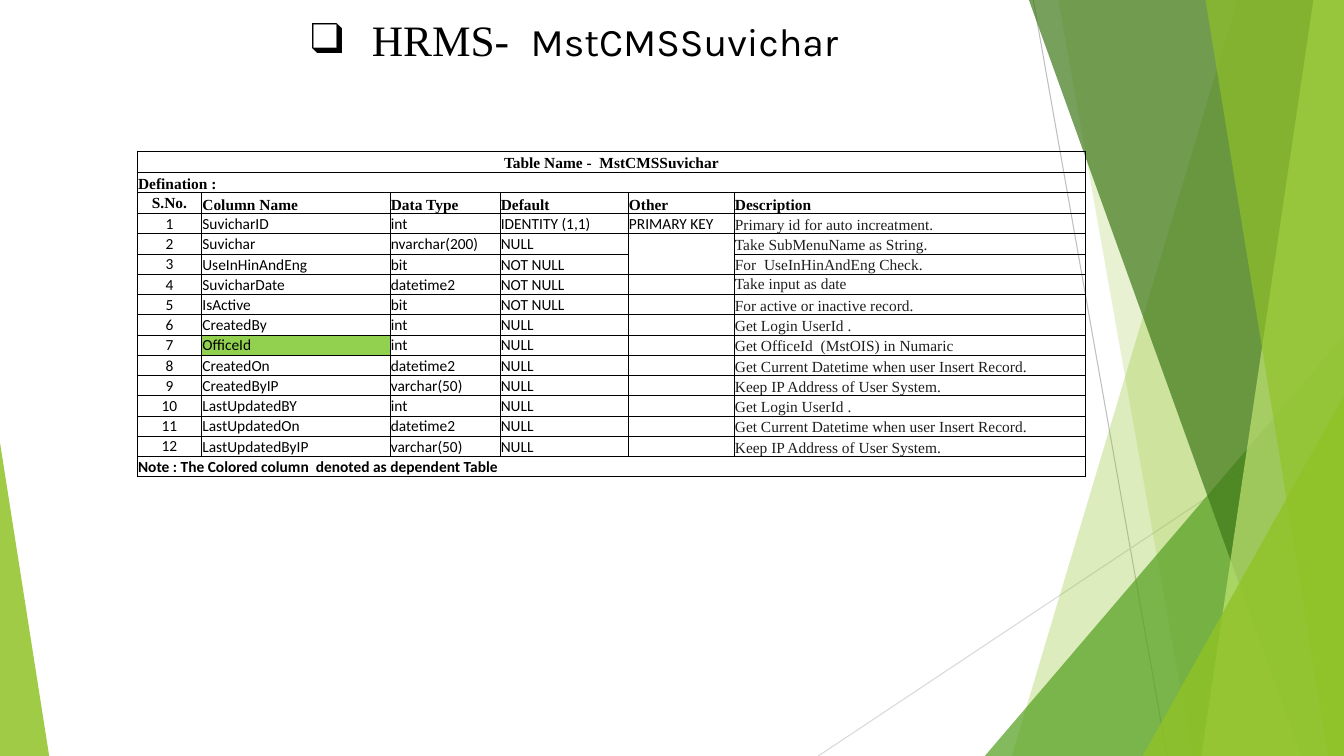
from dataclasses import dataclass

from lxml import etree
from pptx import Presentation
from pptx.dml.color import RGBColor
from pptx.enum.shapes import MSO_CONNECTOR, MSO_SHAPE
from pptx.enum.text import MSO_ANCHOR, MSO_AUTO_SIZE, PP_ALIGN
from pptx.oxml.ns import qn
from pptx.util import Cm, Pt

LINE = MSO_CONNECTOR.STRAIGHT
WEDGE = MSO_SHAPE.ISOSCELES_TRIANGLE
TOP, MIDDLE, BOTTOM = MSO_ANCHOR.TOP, MSO_ANCHOR.MIDDLE, MSO_ANCHOR.BOTTOM
LEFT, CENTER = PP_ALIGN.LEFT, PP_ALIGN.CENTER
WIDE, HIGH = 33.87, 19.05


@dataclass(frozen=True)
class Theme:
    serif: str = "Times New Roman"
    sans: str = "Calibri"
    round: str = "Karla"
    head: int = 31
    name: int = 28
    cell: int = 11
    ink: str = "000000"
    soft: str = "1F1F1F"
    mark: str = "92D050"
    lime: str = "90C226"
    leaf: str = "54A021"
    moss: str = "3F7819"
    pale: str = "C0E474"
    gray: str = "BFBFBF"
    mist: str = "D9D9D9"


T = Theme()

# Background bands: x at the top, x at the bottom, colour, opacity
BACK = [(31.19, 25.5, T.lime, 30), (26.67, 30.05, T.lime, 20)]
FRONT = [(25.93, 32.79, T.moss, 70), (33.1, 30.28, T.pale, 70),
         (30.38, 33.48, T.lime, 65)]

# Table content
COLS = [1.62, 4.75, 2.77, 3.23, 2.67, 8.86]
HEADS = ["S.No.", "Column Name", "Data Type", "Default", "Other",
         "Description"]
STAMP = "Get Current Datetime when user Insert Record."
ADDRESS = "Keep IP Address of User System."
LOGIN = "Get Login UserId ."
FIELDS = [
    ("SuvicharID", "int", "IDENTITY (1,1)", "PRIMARY KEY",
     "Primary id for auto increatment."),
    ("Suvichar", "nvarchar(200)", "NULL", "", "Take SubMenuName as String."),
    ("UseInHinAndEng", "bit", "NOT NULL", "", "For  UseInHinAndEng Check."),
    ("SuvicharDate", "datetime2", "NOT NULL", "", "Take input as date"),
    ("IsActive", "bit", "NOT NULL", "", "For active or inactive record."),
    ("CreatedBy", "int", "NULL", "", LOGIN),
    ("OfficeId", "int", "NULL", "", "Get OfficeId  (MstOIS) in Numaric"),
    ("CreatedOn", "datetime2", "NULL", "", STAMP),
    ("CreatedByIP", "varchar(50)", "NULL", "", ADDRESS),
    ("LastUpdatedBY", "int", "NULL", "", LOGIN),
    ("LastUpdatedOn", "datetime2", "NULL", "", STAMP),
    ("LastUpdatedByIP", "varchar(50)", "NULL", "", ADDRESS),
]


def write(par, text, size=T.cell, font=T.sans, color=T.ink, bold=False,
          align=LEFT):
    par.alignment = align
    run = par.add_run()
    run.text = text
    run.font.size = Pt(size)
    run.font.name = font
    run.font.bold = bold
    run.font.color.rgb = RGBColor.from_string(color)


def paint(shape, color, alpha):
    shape.shadow.inherit = False
    shape.line.fill.background()
    shape.fill.solid()
    shape.fill.fore_color.rgb = RGBColor.from_string(color)
    tint = shape.fill._xPr.find(".//" + qn("a:srgbClr"))
    etree.SubElement(tint, qn("a:alpha"), val=str(alpha * 1000))


def add_line(slide, x1, y1, x2, y2, color):
    line = slide.shapes.add_connector(LINE, Cm(x1), Cm(y1), Cm(x2), Cm(y2))
    line.line.color.rgb = RGBColor.from_string(color)
    line.line.width = Pt(0.75)
    etree.SubElement(line._element.spPr, qn("a:effectLst"))


def add_band(slide, top, base, color, alpha):
    form = slide.shapes.build_freeform(Cm(top), 0)
    form.add_line_segments([(Cm(WIDE), 0), (Cm(WIDE), Cm(HIGH)),
                            (Cm(base), Cm(HIGH))], close=True)
    paint(form.convert_to_shape(), color, alpha)


def add_wedge(slide, left, top, width, peak, color, alpha):
    shape = slide.shapes.add_shape(WEDGE, Cm(left), Cm(top), Cm(width),
                                   Cm(HIGH - top))
    shape.adjustments[0] = peak
    paint(shape, color, alpha)


def add_decor(slide):
    add_line(slide, 26.04, 0, 29.41, HIGH, T.gray)
    add_line(slide, WIDE, 10.24, 20.62, HIGH, T.mist)
    for band in BACK:
        add_band(slide, *band)
    add_wedge(slide, 24.82, 8.46, WIDE - 24.82, 1, T.leaf, 72)
    for band in FRONT:
        add_band(slide, *band)
    add_wedge(slide, 28.8, 9.98, WIDE - 28.8, 1, T.lime, 80)
    add_wedge(slide, 0, 11.15, 1.24, 0, T.lime, 85)


def set_title(slide):
    title = slide.shapes.title
    title.left, title.top = Cm(3.96), Cm(0.2)
    title.width, title.height = Cm(21.03), Cm(1.57)
    frame = title.text_frame
    frame.auto_size = MSO_AUTO_SIZE.NONE
    frame.vertical_anchor = TOP
    par = frame.paragraphs[0]
    props = par._p.get_or_add_pPr()
    props.set("marL", str(Cm(1.27)))
    props.set("indent", str(-Cm(1.27)))
    etree.SubElement(props, qn("a:buFont"), typeface=T.serif)
    etree.SubElement(props, qn("a:buChar"), char="❑")
    write(par, " HRMS-  ", size=T.head, font=T.serif, align=CENTER)
    write(par, "MstCMSSuvichar", size=T.name, font=T.round, align=CENTER)


def set_edges(cell, hidden=""):
    props = cell._tc.get_or_add_tcPr()
    for side in "LRTB":
        edge = etree.SubElement(props, qn("a:ln" + side), w=str(Pt(0.5)))
        if side == hidden:
            etree.SubElement(edge, qn("a:noFill"))
        else:
            fill = etree.SubElement(edge, qn("a:solidFill"))
            etree.SubElement(fill, qn("a:srgbClr"), val=T.ink)


def fill_cell(cell, text, anchor=BOTTOM, **style):
    cell.vertical_anchor = anchor
    par = cell.text_frame.paragraphs[0]
    if text:
        write(par, text, **style)
    else:
        par._p.get_or_add_endParaRPr().set("sz", str(T.cell * 100))


def add_grid(slide):
    count = len(FIELDS) + 4
    grid = slide.shapes.add_table(count, len(COLS), Cm(3.46), Cm(3.81),
                                  Cm(sum(COLS)), Cm(0.51 * count)).table
    grid.first_row = grid.horz_banding = False
    for col, width in zip(grid.columns, COLS):
        col.width = Cm(width)
    for i, row in enumerate(grid.rows):
        row.height = Cm(0.53 if i in (0, 2) else 0.51)
        for j, cell in enumerate(row.cells):
            # The two empty cells under PRIMARY KEY share an open edge
            set_edges(cell, {(4, 4): "B", (5, 4): "T"}.get((i, j), ""))
            cell.fill.background()
            cell.margin_left = cell.margin_right = cell.margin_top = Cm(0.02)
            cell.margin_bottom = 0

    # Full-width rows
    for i in (0, 1, count - 1):
        grid.cell(i, 0).merge(grid.cell(i, len(COLS) - 1))
    bold = dict(font=T.serif, bold=True)
    fill_cell(grid.cell(0, 0), "Table Name -  MstCMSSuvichar", align=CENTER,
              **bold)
    fill_cell(grid.cell(1, 0), "Defination :", **bold)
    fill_cell(grid.cell(count - 1, 0),
              "Note : The Colored column  denoted as dependent Table",
              anchor=MIDDLE, bold=True)

    # Headings and fields
    first = dict(anchor=MIDDLE, align=CENTER)
    for j, head in enumerate(HEADS):
        fill_cell(grid.cell(2, j), head, **bold, **({} if j else first))
    for num, (*facts, about) in enumerate(FIELDS, 1):
        i = num + 2
        fill_cell(grid.cell(i, 0), str(num), **first)
        for j, fact in enumerate(facts, 1):
            fill_cell(grid.cell(i, j), fact)
        fill_cell(grid.cell(i, 5), about, font=T.serif, color=T.soft,
                  anchor=MIDDLE if num == 4 else BOTTOM)
        if facts[0] == "OfficeId":
            fill = grid.cell(i, 1).fill
            fill.solid()
            fill.fore_color.rgb = RGBColor.from_string(T.mark)


def main():
    deck = Presentation()
    deck.slide_width, deck.slide_height = Cm(WIDE), Cm(HIGH)
    slide = deck.slides.add_slide(deck.slide_layouts[5])
    add_decor(slide)
    set_title(slide)
    add_grid(slide)
    deck.save("out.pptx")


if __name__ == "__main__":
    main()
